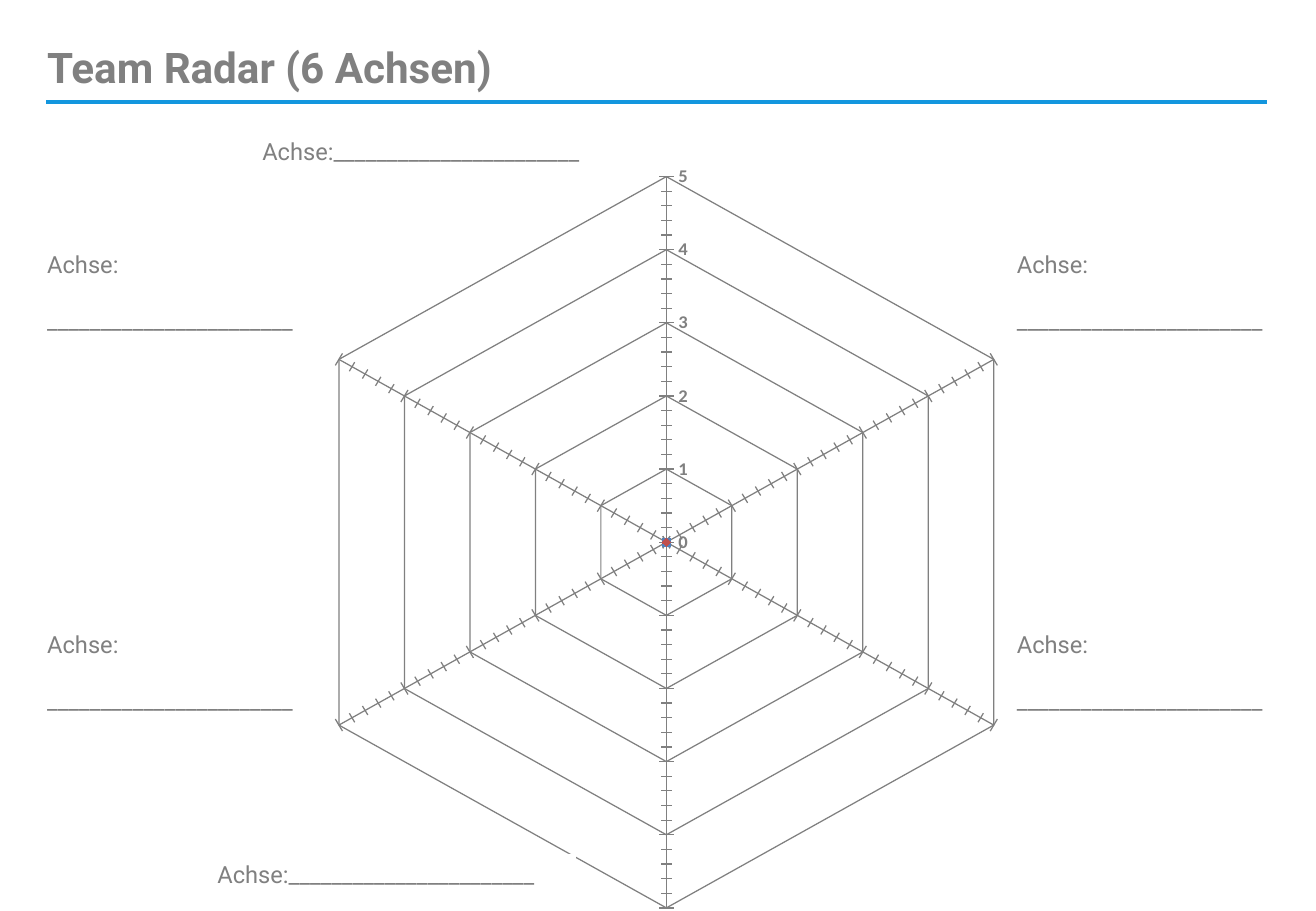
from pptx import Presentation
from pptx.chart.data import CategoryChartData
from pptx.dml.color import RGBColor
from pptx.enum.chart import XL_CHART_TYPE as ChartType, XL_TICK_MARK as Tick
from pptx.enum.shapes import MSO_CONNECTOR as Connector
from pptx.enum.text import MSO_ANCHOR as Anchor, MSO_AUTO_SIZE as AutoSize
from pptx.oxml import parse_xml
from pptx.oxml.ns import nsdecls, qn
from pptx.util import Inches, Pt

# Content
TITLE = "Team Radar (6 Achsen)"
LABEL, BLANK = "Achse:", "_" * 23
CATEGORIES = [" ", " ", " ", " ", "", " "]
SCORES = [0, 0, 0, 0, None, 0]
SERIES = [("Series 1", "4F81BD"), ("Series 2", "C0504D")]
SCALE_MAX = 5
TOP_LABEL, BOTTOM_LABEL = (2.06, 1.08), (1.69, 7.03)
SIDE_COLUMNS, SIDE_ROWS = (0.29, 8.27), (2.01, 5.14)
RADAR_BOX = (0.77, 0.76, 9.77, 7.5)
RADAR_PLOT = {"x": 0.164, "y": 0.062, "w": 0.637, "h": 0.83}

THEME = {
    "grey": "808080", "rule": "1396DE", "white": "FFFFFF", "black": "000000",
    "font": "Roboto", "chart_font": "Calibri",
    "title": 25, "label": 14, "chart": 18, "scale": 11,
}


def colour(name):
    return RGBColor.from_string(THEME.get(name, name))


def style(font, size, name="font", shade="grey", bold=False):
    font.size, font.name, font.bold = Pt(THEME[size]), THEME[name], bold
    font.color.rgb = colour(shade)


def add_text(slide, box, lines, size, bold=False):
    holder = slide.shapes.add_textbox(*map(Inches, box))
    frame = holder.text_frame
    frame.text = "\n".join(lines)
    for paragraph in frame.paragraphs:
        for run in paragraph.runs:
            style(run.font, size, bold=bold)
    return holder


def add_axis_label(slide, position, size, lines):
    label = add_text(slide, (*position, *size), lines, "label")
    label.text_frame.word_wrap = False
    label.text_frame.auto_size = AutoSize.SHAPE_TO_FIT_TEXT
    for paragraph in label.text_frame.paragraphs[1:]:
        paragraph.space_before = Pt(16.4)
    return label


def add_wide_label(slide, position):
    return add_axis_label(slide, position, (3.05, 0.34), [LABEL + BLANK])


def add_radar(slide):
    data = CategoryChartData()
    data.categories = CATEGORIES
    for name, _ in SERIES:
        data.add_series(name, SCORES)
    chart = slide.shapes.add_chart(
        ChartType.RADAR_MARKERS, *map(Inches, RADAR_BOX), data).chart
    chart.has_title = chart.has_legend = False
    style(chart.font, "chart", "chart_font", "black")
    chart.plots[0].vary_by_categories = False

    # Scale and hexagonal grid
    scale, spokes = chart.value_axis, chart.category_axis
    scale.minimum_scale, scale.maximum_scale = 0, SCALE_MAX
    scale.major_unit, scale.minor_unit = 1, 0.2
    scale.major_tick_mark = scale.minor_tick_mark = Tick.CROSS
    spokes.major_tick_mark = Tick.OUTSIDE
    style(scale.tick_labels.font, "scale", "chart_font", bold=True)
    for axis in (scale, spokes):
        axis.has_major_gridlines = True
        for part in (axis, axis.major_gridlines):
            part.format.line.color.rgb = colour("grey")
            part.format.line.width = Pt(0.75)

    # Score markers
    for series, (_, shade) in zip(chart.plots[0].series, SERIES):
        series.smooth = False
        series.format.line.color.rgb = colour(shade)
        series.marker.size = 5
        for fill in (series.marker.format.fill, series.marker.format.line.fill):
            fill.solid()
            fill.fore_color.rgb = colour(shade)

    # Fixed inner plot area
    plot_area = chart.plots[0]._element.getparent()
    for layout in plot_area.findall(qn("c:layout")):
        plot_area.remove(layout)
    sizes = "".join(f'<c:{k} val="{v}"/>' for k, v in RADAR_PLOT.items())
    plot_area.insert(0, parse_xml(
        f'<c:layout {nsdecls("c")}><c:manualLayout><c:layoutTarget val="inner"/>'
        f'<c:xMode val="edge"/><c:yMode val="edge"/>{sizes}'
        '</c:manualLayout></c:layout>'))


def main():
    deck = Presentation()
    deck.slide_width, deck.slide_height = Inches(10.83), Inches(7.5)
    slide = deck.slides.add_slide(deck.slide_layouts[6])

    # Title and rule
    rule = slide.shapes.add_connector(
        Connector.STRAIGHT, *map(Inches, (0.38, 0.84, 10.43, 0.84)))
    rule.line.color.rgb, rule.line.width = colour("rule"), Pt(2)
    rule._element.spPr.append(parse_xml(f'<a:effectLst {nsdecls("a")}/>'))
    title = add_text(slide, (0.29, 0.08, 7.69, 0.97), [TITLE], "title", bold=True)
    title.text_frame.word_wrap = True
    title.text_frame.vertical_anchor = Anchor.MIDDLE
    title.text_frame.paragraphs[0].line_spacing = Pt(27.3)

    # Radar with a label at each axis
    add_wide_label(slide, TOP_LABEL)
    add_radar(slide)
    bottom = add_wide_label(slide, BOTTOM_LABEL)
    bottom.fill.solid()
    bottom.fill.fore_color.rgb = colour("white")
    for left in SIDE_COLUMNS:
        for top in SIDE_ROWS:
            add_axis_label(slide, (left, top), (2.47, 0.81), [LABEL, BLANK])

    deck.save("out.pptx")


if __name__ == "__main__":
    main()
